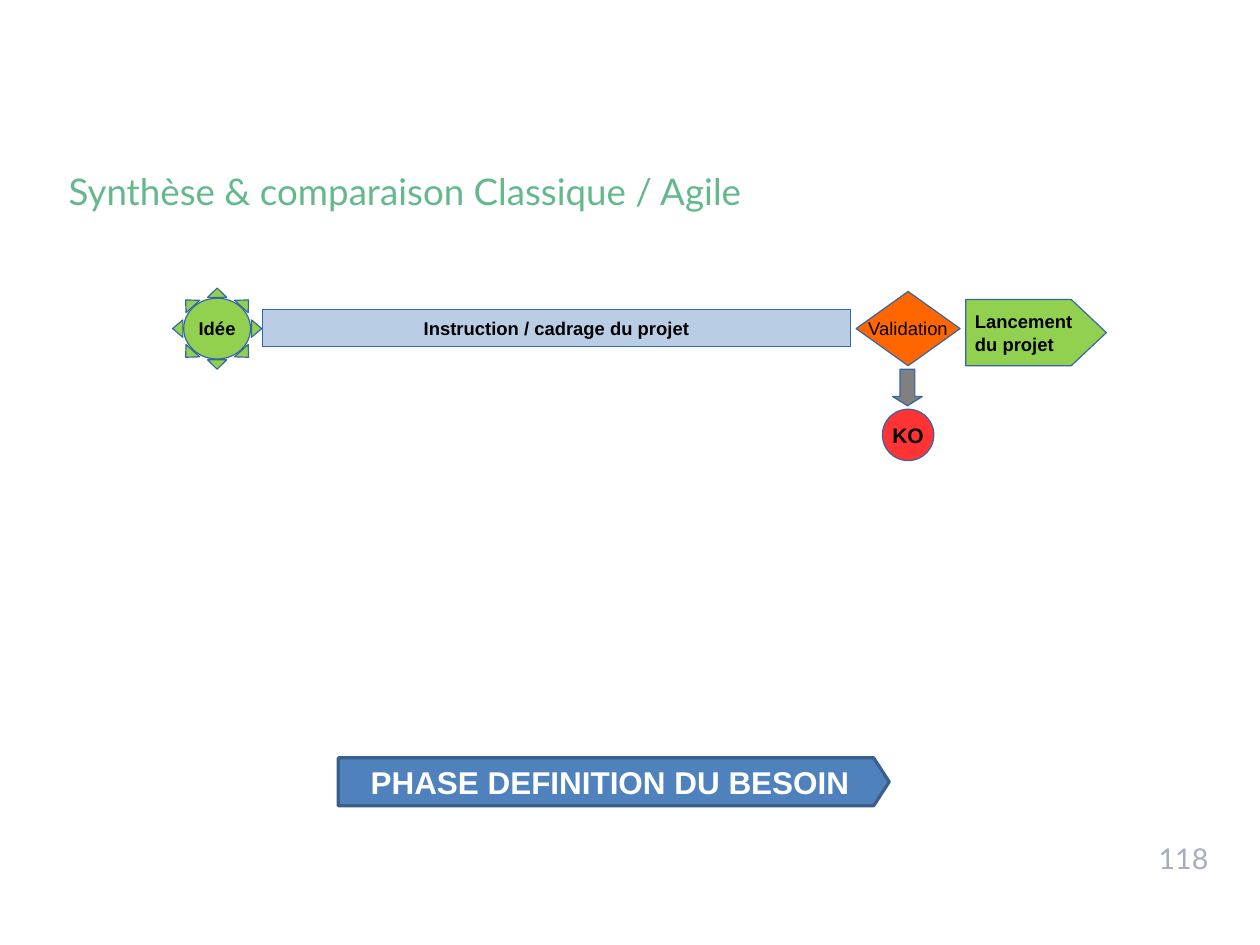
from pptx import Presentation
from pptx.dml.color import RGBColor
from pptx.enum.shapes import MSO_SHAPE as Preset
from pptx.enum.text import MSO_ANCHOR as Anchor, MSO_AUTO_SIZE as AutoSize, PP_ALIGN as Align
from pptx.util import Inches, Pt

GREEN = "92D050"
OUTLINE = "3465A4"
CM_PER_INCH = 2.54


def color(value):
    return RGBColor.from_string(value)


def place(item, left, top, width, height):
    item.left, item.top = Inches(left), Inches(top)
    item.width, item.height = Inches(width), Inches(height)


def write(frame, lines, size, tint="000000", bold=False, align=Align.CENTER,
          font="Arial", anchor=Anchor.MIDDLE):
    frame.text = "\n".join(lines)
    frame.vertical_anchor = anchor
    for para in frame.paragraphs:
        para.alignment = align
        para.font.name = font
        para.font.size = Pt(size)
        para.font.bold = bold
        para.font.color.rgb = color(tint)


def set_margins(frame, across, down):
    frame.margin_left = frame.margin_right = Inches(across)
    frame.margin_top = frame.margin_bottom = Inches(down)


def add_figure(page, preset, area, fill, line=OUTLINE, weight=0.75, adjust=()):
    figure = page.shapes.add_shape(preset, *map(Inches, area))
    figure.shadow.inherit = False
    figure.fill.solid()
    figure.fill.fore_color.rgb = color(fill)
    figure.line.color.rgb = color(line)
    figure.line.width = Pt(weight)
    for index, value in enumerate(adjust):
        figure.adjustments[index] = value
    return figure


def add_step(page, preset, area, fill, lines, size=11.6, bold=True, align=Align.CENTER, adjust=()):
    step = add_figure(page, preset, area, fill, adjust=adjust)
    frame = step.text_frame
    set_margins(frame, 0.08, 0.04)
    frame.word_wrap = align == Align.LEFT
    write(frame, lines, size, bold=bold, align=align)


def add_title(page, text):
    title = page.shapes.title
    place(title, 0.6, 1.48, 9.83, 0.42)
    frame = title.text_frame
    set_margins(frame, 0, 0)
    frame.auto_size = AutoSize.NONE
    write(frame, [text], 23.1, "64B98C", align=Align.LEFT, font="Lato")
    frame.paragraphs[0].line_spacing = 0.9


def add_page_number(page, number):
    box = page.shapes.add_textbox(*map(Inches, (8.19, 7.31, 2.48, 0.44)))
    box.text_frame.word_wrap = True
    write(box.text_frame, [number], 18, "A8ACBF", align=Align.RIGHT, font="Lato", anchor=Anchor.TOP)


def add_phase_banner(page, text):
    banner = add_figure(page, Preset.PENTAGON, (2.96, 6.63, 4.82, 0.42),
                        "4F81BD", "3A5F8C", 2, adjust=(0.325,))
    write(banner.text_frame, [text], 19.8, "FFFFFF", bold=True)


def add_process(page):
    add_step(page, Preset.SUN, (1.51, 2.52, 0.78, 0.71), GREEN, ["Idée"], adjust=(0.054,))
    add_step(page, Preset.DIAMOND, (7.49, 2.55, 0.91, 0.65), "FF6600", ["Validation"], bold=False)
    add_step(page, Preset.PENTAGON, (8.45, 2.62, 1.23, 0.58), GREEN,
             ["Lancement", "du projet"], align=Align.LEFT, adjust=(0.53,))
    add_step(page, Preset.RECTANGLE, (2.3, 2.71, 5.14, 0.32), "B9CDE5",
             ["Instruction / cadrage du projet"])
    add_figure(page, Preset.DOWN_ARROW, (7.81, 3.23, 0.26, 0.32), "808080", adjust=(0.5, 0.31))
    add_step(page, Preset.OVAL, (7.72, 3.58, 0.45, 0.45), "FF3333", ["KO"], size=13.2)


def main():
    deck = Presentation()
    deck.slide_width = Inches(28 / CM_PER_INCH)
    deck.slide_height = Inches(21 / CM_PER_INCH)
    page = deck.slides.add_slide(deck.slide_layouts[5])
    add_page_number(page, "118")
    add_title(page, "Synthèse & comparaison Classique / Agile")
    add_phase_banner(page, "PHASE DEFINITION DU BESOIN")
    add_process(page)
    deck.save("out.pptx")


if __name__ == "__main__":
    main()
